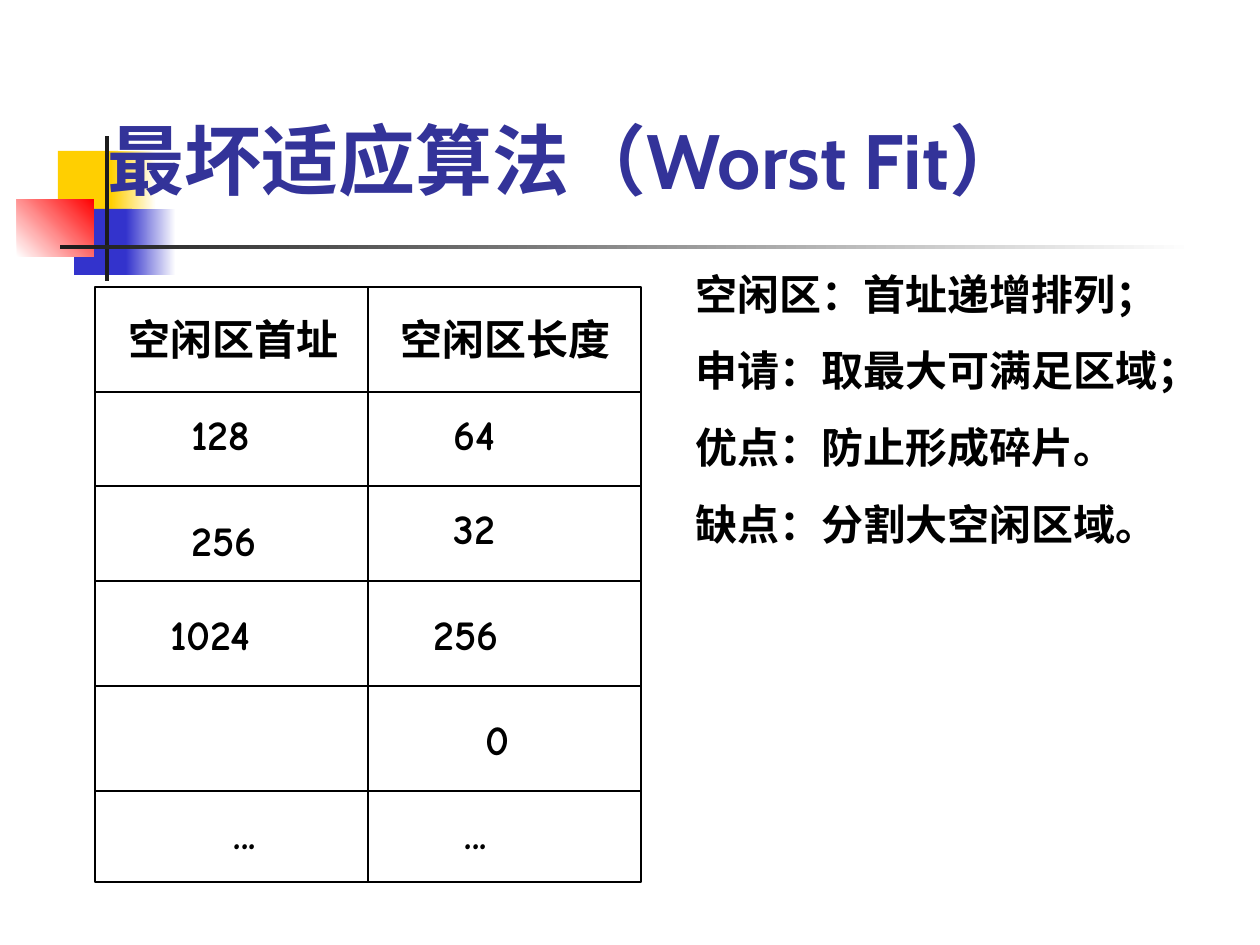
from dataclasses import dataclass

from lxml.etree import SubElement
from pptx import Presentation
from pptx.dml.color import RGBColor
from pptx.enum.shapes import MSO_CONNECTOR, MSO_SHAPE
from pptx.enum.text import MSO_ANCHOR
from pptx.oxml.ns import qn
from pptx.util import Emu, Pt


@dataclass(frozen=True)
class Theme:
    yellow: str = "FFCF01"
    blue: str = "3333CC"
    red: str = "FF0000"
    dark: str = "1C1C1C"
    white: str = "FFFFFF"
    black: str = "000000"
    title: str = "333399"
    title_font: str = "Cabin"
    body_font: str = "Times New Roman"
    number_font: str = "Comic Neue"
    title_size: int = 44
    body_size: int = 24
    gap: int = 15
    line: float = 1.25


T = Theme()

# Content
TITLE = "最坏适应算法（Worst Fit）"
NOTES = ["空闲区：首址递增排列；", "申请：取最大可满足区域；",
         "优点：防止形成碎片。", "缺点：分割大空闲区域。"]
# Row top, then cells: text, left, offset below row top, width
HEADER = (287, [("空闲区首址", 116, 20, 242), ("空闲区长度", 388, 20, 242)])
ROWS = [
    (392, [("128", 179, 10, 105), ("64", 441, 10, 105)]),
    (486, [("256", 179, 22, 105), ("32", 441, 10, 116)]),
    (581, [("1024", 158, 21, 136), ("256", 421, 21, 116)]),
    (686, [("0", 473, 21, 73)]),
    (791, [("...", 221, 10, 105), ("...", 452, 10, 105)]),
]
TABLE = (95, 287, 546, 595)
CELL_H = 63
# Box, colours (two make a gradient), gradient angle
DECOR = [
    ((58, 151, 60, 66), (T.yellow,), 0),
    ((111, 151, 45, 66), (T.yellow, T.white), 0),
    ((74, 209, 58, 66), (T.blue,), 0),
    ((126, 209, 50, 66), (T.blue, T.white), 0),
    ((17, 199, 77, 58), (T.white, T.red), 45),
    ((105, 136, 4, 145), (T.dark,), 0),
    ((60, 245, 1134, 4), (T.dark, T.white), 0),
]


def px(n):
    return Emu(round(n * 914400 / 126))


def rgb(c):
    return RGBColor.from_string(c)


prs = Presentation()
prs.slide_width, prs.slide_height = px(1260), px(945)
slide = prs.slides.add_slide(prs.slide_layouts[6])


def add_rect(box, colors, angle=0, line=None):
    sp = slide.shapes.add_shape(MSO_SHAPE.RECTANGLE, *map(px, box))
    sp.shadow.inherit = False
    if len(colors) == 1:
        sp.fill.solid()
        sp.fill.fore_color.rgb = rgb(colors[0])
    else:
        sp.fill.gradient()
        sp.fill.gradient_angle = angle
        for stop, c in zip(sp.fill.gradient_stops, colors):
            stop.color.rgb = rgb(c)
    if line:
        sp.line.color.rgb = rgb(line)
        sp.line.width = Pt(T.line)
    else:
        sp.line.fill.background()
    return sp


def add_text(box, lines, font, size=T.body_size, color=T.black,
             anchor=MSO_ANCHOR.TOP, fill=None):
    sp = slide.shapes.add_textbox(*map(px, box))
    if fill:
        sp.fill.solid()
        sp.fill.fore_color.rgb = rgb(fill)
    tf = sp.text_frame
    tf.word_wrap = True
    tf.vertical_anchor = anchor
    for i, text in enumerate(lines):
        p = tf.add_paragraph() if i else tf.paragraphs[0]
        if i:
            p.space_before = Pt(T.gap)
        r = p.add_run()
        r.text = text
        r.font.name, r.font.size, r.font.bold = font, Pt(size), True
        r.font.color.rgb = rgb(color)


def add_line(x1, y1, x2, y2):
    cx = slide.shapes.add_connector(MSO_CONNECTOR.STRAIGHT, *map(px, (x1, y1, x2, y2)))
    cx.line.color.rgb = rgb(T.black)
    cx.line.width = Pt(T.line)
    SubElement(cx._element.spPr, qn("a:effectLst"))
    return cx


def add_cells(row, font):
    top, cells = row
    for text, x, dy, w in cells:
        add_text((x, top + dy, w, CELL_H), [text], font, fill=T.white)


# Corner decoration
for box, colors, angle in DECOR:
    add_rect(box, colors, angle)

# Title and notes
add_text((95, 53, 1071, 158), [TITLE], T.title_font, T.title_size, T.title,
         MSO_ANCHOR.BOTTOM)
add_text((683, 262, 536, 370), NOTES, T.body_font)

# Free-area grid
left, top, width, height = TABLE
frame = add_rect(TABLE, (T.white,), line=T.black)
middle = left + width / 2
divider = add_line(middle, top, middle, top + height)
divider.begin_connect(frame, 0)
divider.end_connect(frame, 2)
for y, _ in ROWS:
    add_line(left, y, left + width, y)

# Grid text
add_cells(HEADER, T.body_font)
for row in ROWS:
    add_cells(row, T.number_font)

prs.save("out.pptx")
